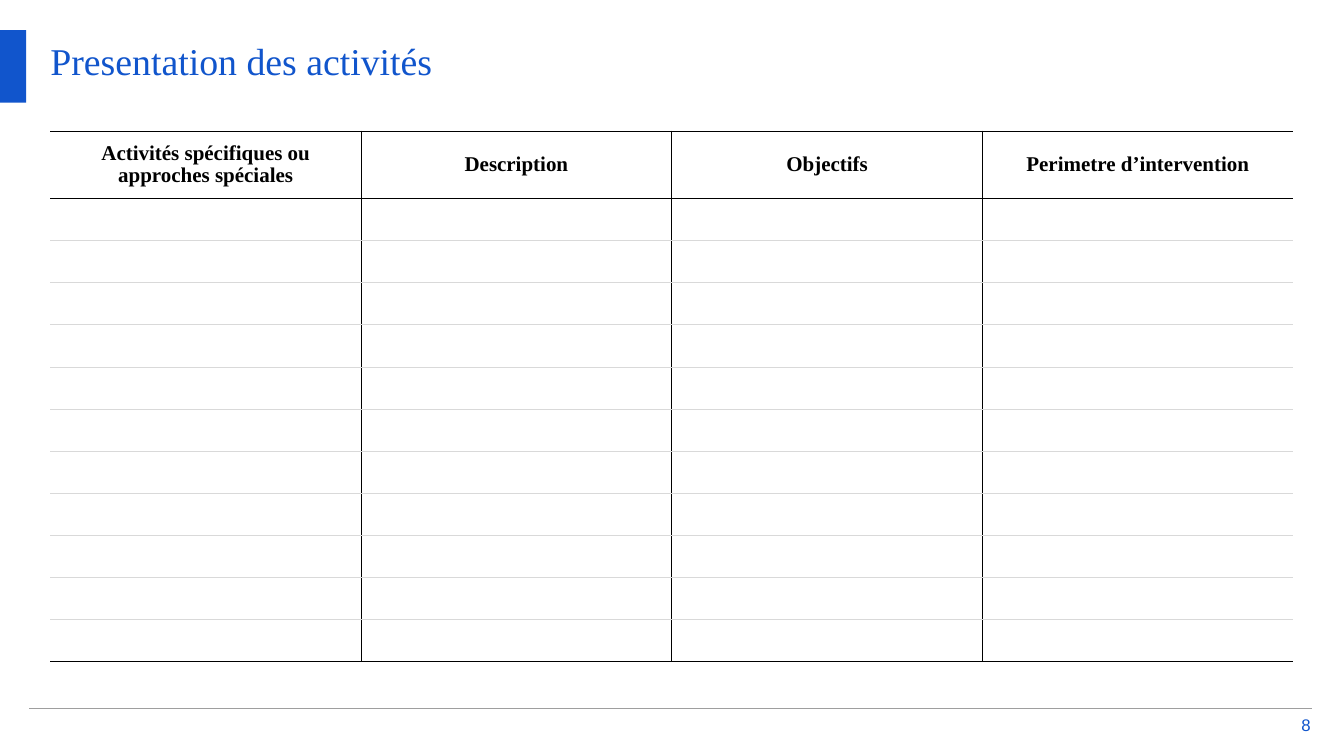
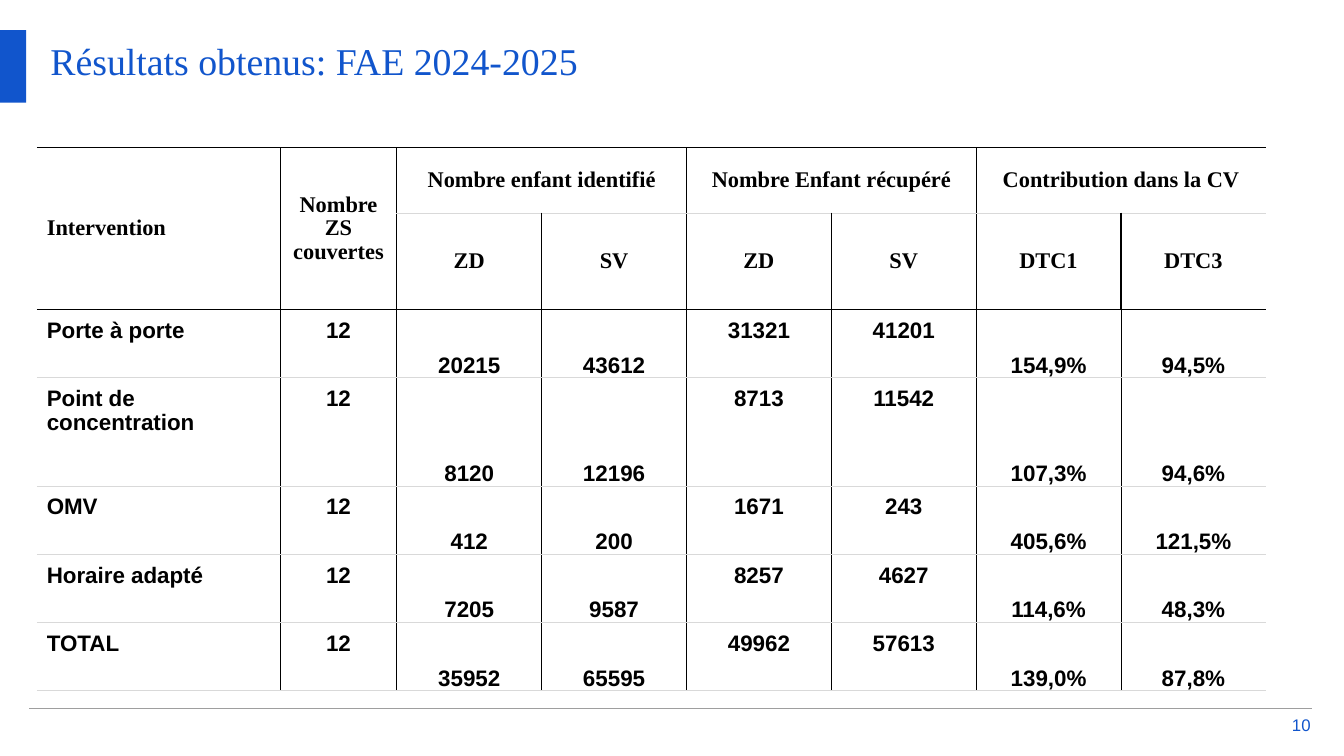
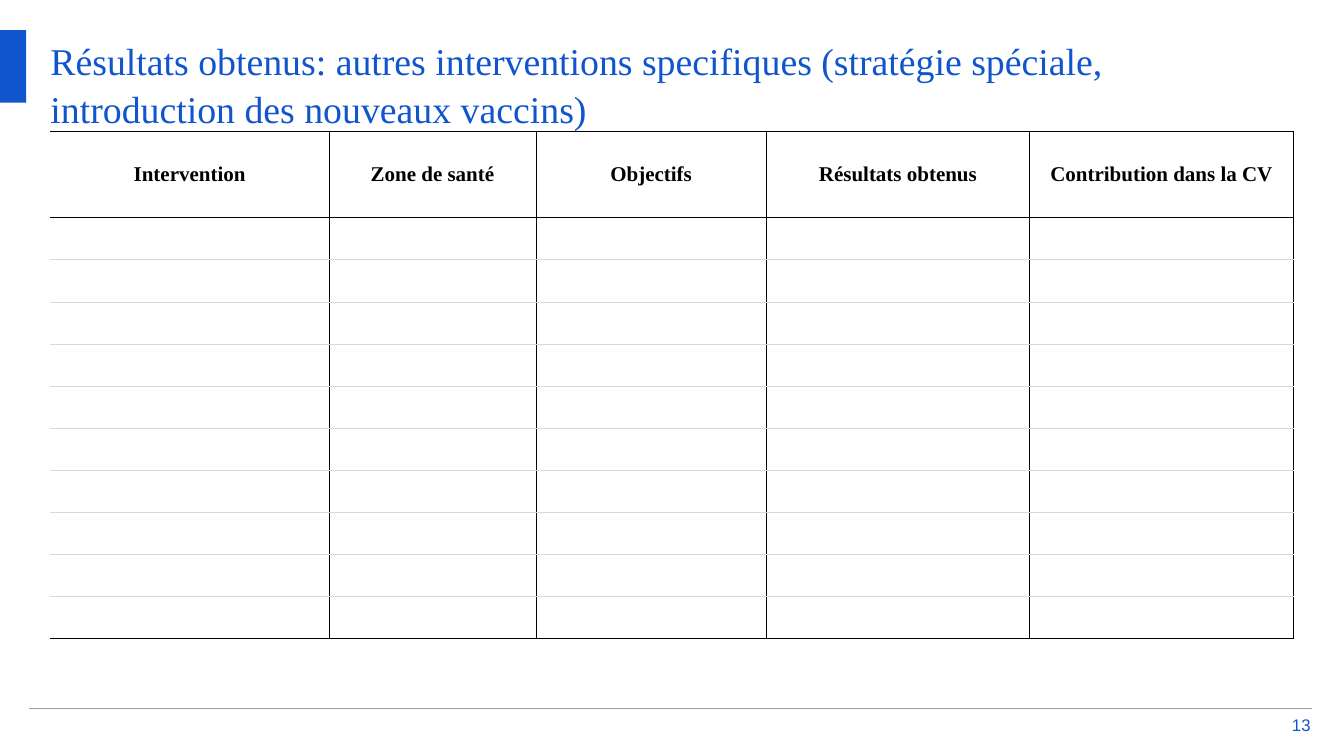
from itertools import product

from lxml import etree
from pptx import Presentation
from pptx.dml.color import RGBColor
from pptx.enum.shapes import MSO_CONNECTOR, MSO_SHAPE
from pptx.enum.text import MSO_ANCHOR, MSO_AUTO_SIZE, PP_ALIGN
from pptx.oxml.ns import qn
from pptx.util import Cm, Pt

LEFT, CENTER, RIGHT = PP_ALIGN.LEFT, PP_ALIGN.CENTER, PP_ALIGN.RIGHT
TOP, MIDDLE, BOTTOM = MSO_ANCHOR.TOP, MSO_ANCHOR.MIDDLE, MSO_ANCHOR.BOTTOM
NO_AUTOFIT = MSO_AUTO_SIZE.NONE
RECTANGLE, STRAIGHT = MSO_SHAPE.RECTANGLE, MSO_CONNECTOR.STRAIGHT

SERIF, SANS = "Times New Roman", "Arial"
BLUE, BLACK, PALE_GREY, MID_GREY = "1155CC", "000000", "D9D9D9", "9E9E9E"
PLAIN_TABLE = "{2D5ABB26-0587-4C30-8999-92F81FD0307C}"
THIN, THICK = 0.75, 1
TITLE_ONLY = 5
EMPTY_ROW = 1.06
WIDE_MARGINS = (0.25, 0.25, 0.25, 0.25)
FLAT_MARGINS = (0.25, 0.13, 0.25, 0.13)
TIGHT_MARGINS = (0.03, 0.03, 0.03, 0)

RESULT_HEADS = [
    ["Intervention", "Nombre ZS couvertes", "Nombre enfant identifié", "",
     "Nombre Enfant récupéré", "", "Contribution dans la CV", ""],
    ["", "", "ZD", "SV", "ZD", "SV", "DTC1", "DTC3"],
]
RESULTS = [
    ["Porte à porte", "12", "20215", "43612", "31321", "41201", "154,9%", "94,5%"],
    ["Point de concentration", "12", "8120", "12196", "8713", "11542", "107,3%", "94,6%"],
    ["OMV", "12", "412", "200", "1671", "243", "405,6%", "121,5%"],
    ["Horaire adapté", "12", "7205", "9587", "8257", "4627", "114,6%", "48,3%"],
    ["TOTAL", "12", "35952", "65595", "49962", "57613", "139,0%", "87,8%"],
]


def color(code):
    return RGBColor.from_string(code)


def write(frame, text, size, font, ink, align=LEFT, bold=False, spacing=1.0):
    para = frame.paragraphs[0]
    para.alignment = align
    para.line_spacing = spacing
    span = para.add_run()
    span.text = text
    span.font.size = Pt(size)
    span.font.name = font
    span.font.bold = bold
    span.font.color.rgb = color(ink)


def set_margins(box, margins):
    """Set left, top, right and bottom margins of a cell or text frame, in cm."""
    for side, margin in zip(("left", "top", "right", "bottom"), margins):
        setattr(box, f"margin_{side}", Cm(margin))


def add_frame(page, title, number):
    """Add what every slide shares: title, side bar, footer rule and number."""
    heading = page.shapes.title
    heading.left, heading.top = Cm(1.27), Cm(0.89)
    heading.width, heading.height = Cm(31.32), Cm(2.03)
    frame = heading.text_frame
    frame.auto_size = NO_AUTOFIT
    frame.vertical_anchor = TOP
    set_margins(frame, (0, 0, 0, 0))
    write(frame, title, 27, SERIF, BLUE, spacing=1.06)

    bar = page.shapes.add_shape(RECTANGLE, 0, Cm(0.76), Cm(0.66), Cm(1.83))
    bar.shadow.inherit = False
    bar.fill.solid()
    bar.fill.fore_color.rgb = color(BLUE)
    bar.line.fill.background()

    rule = page.shapes.add_connector(STRAIGHT, Cm(0.74), Cm(17.86), Cm(33.07), Cm(17.86))
    rule.line.color.rgb = color(MID_GREY)
    rule.line.width = Pt(1)
    etree.SubElement(rule._element.spPr, qn("a:effectLst"))

    box = page.shapes.add_textbox(Cm(32.39), Cm(18.03), Cm(0.64), Cm(0.46))
    frame = box.text_frame
    frame.word_wrap = True
    frame.vertical_anchor = MIDDLE
    set_margins(frame, (0, 0, 0, 0))
    write(frame, str(number), 12, SANS, BLUE, RIGHT)


def set_border(cell, tag, ink, width):
    """Draw one side of a cell; no ink means no line."""
    side = etree.SubElement(cell._tc.get_or_add_tcPr(), qn(f"a:{tag}"), w=str(Pt(width)))
    if ink:
        fill = etree.SubElement(side, qn("a:solidFill"))
        etree.SubElement(fill, qn("a:srgbClr"), val=ink)
    else:
        etree.SubElement(side, qn("a:noFill"))


def add_grid(page, left, top, widths, heights, merges=()):
    """Add an unstyled table; a merge is (row, column, last row, last column)."""
    holder = page.shapes.add_table(len(heights), len(widths), Cm(left), Cm(top),
                                   Cm(sum(widths)), Cm(sum(heights)))
    table = holder.table
    table.first_row = table.horz_banding = False
    table._tbl.tblPr.find(qn("a:tableStyleId")).text = PLAIN_TABLE
    for column, width in zip(table.columns, widths):
        column.width = Cm(width)
    for row, height in zip(table.rows, heights):
        row.height = Cm(height)
    for row, column, last_row, last_column in merges:
        table.cell(row, column).merge(table.cell(last_row, last_column))
    return table


def rule_grid(table, head_rows=1, thick_from=None, right_ink=None, bottom_ink=BLACK):
    """Rule columns and header in black, body rows in grey, left side open.

    Header column lines from number thick_from on are thicker.
    """
    row_count, column_count = len(table.rows), len(table.columns)
    row_inks = [PALE_GREY] * row_count + [bottom_ink]
    row_inks[0] = row_inks[head_rows] = BLACK
    column_inks = [None] + [BLACK] * (column_count - 1) + [right_ink]
    for row, column in product(range(row_count), range(column_count)):
        cell = table.cell(row, column)
        if cell.is_spanned:
            continue
        in_head = thick_from is not None and row < head_rows
        for tag, edge in (("lnL", column), ("lnR", column + cell.span_width)):
            width = THICK if in_head and edge >= thick_from else THIN
            set_border(cell, tag, column_inks[edge], width)
        for tag, edge in (("lnT", row), ("lnB", row + cell.span_height)):
            set_border(cell, tag, row_inks[edge], THIN)
        cell.fill.background()


def fill_cell(cell, text, size, font, align=CENTER, anchor=MIDDLE, margins=WIDE_MARGINS):
    set_margins(cell, margins)
    cell.vertical_anchor = anchor
    write(cell.text_frame, text, size, font, BLACK, align, bold=True, spacing=0.95)


def add_form(page, left, top, widths, heads, head_height, empty_rows, **ruling):
    """Add a table with one header row above empty rows to fill in."""
    table = add_grid(page, left, top, widths, [head_height] + [EMPTY_ROW] * empty_rows)
    for column, head in enumerate(heads):
        fill_cell(table.cell(0, column), head, 15, SERIF)
    rule_grid(table, **ruling)


def add_results(page, left, top):
    head_rows = len(RESULT_HEADS)
    merges = [(0, column, 1, column) for column in (0, 1)]
    merges += [(0, column, 0, column + 1) for column in (2, 4, 6)]
    table = add_grid(page, left, top, [6.13, 2.94] + [3.65] * 6,
                     [1.65, 2.37, 1.72, 2.73] + [1.72] * 3, merges)
    for row, texts in enumerate(RESULT_HEADS + RESULTS):
        for column, text in enumerate(texts):
            cell = table.cell(row, column)
            if cell.is_spanned:
                continue
            align = CENTER if column else LEFT
            if row < head_rows:
                margins = WIDE_MARGINS if column < 2 else FLAT_MARGINS
                fill_cell(cell, text, 16, SERIF, align, MIDDLE, margins)
            elif column in (2, 3, 6, 7):
                fill_cell(cell, text, 16, SANS, align, BOTTOM, TIGHT_MARGINS)
            else:
                fill_cell(cell, text, 16, SANS, align, TOP)
    rule_grid(table, head_rows, thick_from=2, bottom_ink=PALE_GREY)


def main():
    deck = Presentation()
    deck.slide_width, deck.slide_height = Cm(33.87), Cm(19.05)
    layout = deck.slide_layouts[TITLE_ONLY]

    page = deck.slides.add_slide(layout)
    add_frame(page, "Presentation des activités", 8)
    add_form(page, 1.27, 3.3, [7.83] * 4,
             ["Activités spécifiques ou approches spéciales", "Description",
              "Objectifs", "Perimetre d’intervention"], 1.66, 11)

    page = deck.slides.add_slide(layout)
    add_frame(page, "Résultats obtenus: FAE 2024-2025", 10)
    add_results(page, 0.93, 3.72)

    page = deck.slides.add_slide(layout)
    add_frame(page, "Résultats obtenus: autres interventions specifiques "
                    "(stratégie spéciale, introduction des nouveaux vaccins)", 13)
    add_form(page, 1.27, 3.3, [7.02, 5.22, 5.8, 6.64, 6.64],
             ["Intervention", "Zone de santé", "Objectifs", "Résultats obtenus",
              "Contribution dans la CV"], 2.19, 10, thick_from=3, right_ink=BLACK)

    deck.save("out.pptx")


if __name__ == "__main__":
    main()
